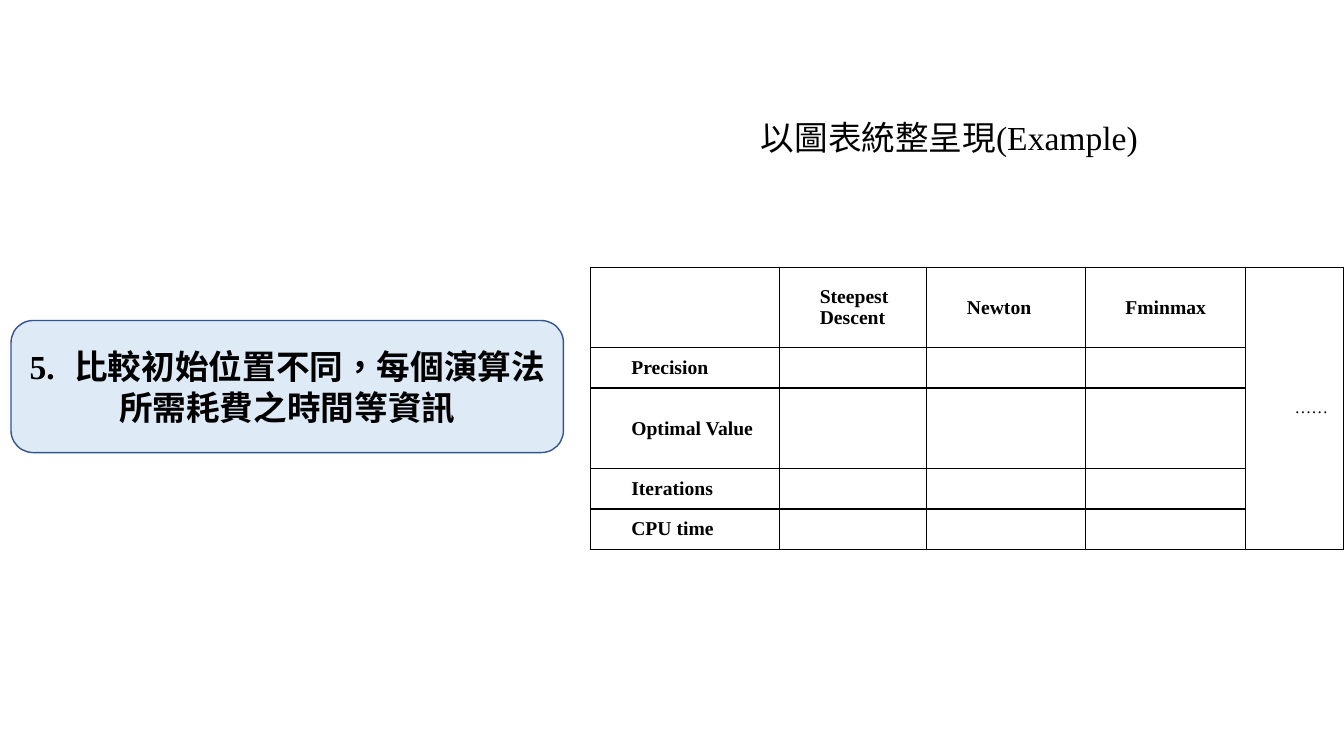
from dataclasses import dataclass

from lxml.etree import SubElement
from pptx import Presentation
from pptx.dml.color import RGBColor
from pptx.enum.lang import MSO_LANGUAGE_ID as Language
from pptx.enum.shapes import MSO_SHAPE as Shape
from pptx.enum.text import MSO_ANCHOR as Anchor, MSO_AUTO_SIZE as AutoSize, PP_ALIGN as Align
from pptx.oxml.ns import qn
from pptx.util import Inches, Pt


@dataclass(frozen=True)
class Theme:
    font: str = "Times New Roman"
    ink: str = "000000"
    panel: str = "DEEBF7"
    panel_line: str = "325491"
    heading: int = 24
    label: int = 14
    dots: int = 12
    line: int = 1


def apply(target, **values):
    for name, value in values.items():
        setattr(target, name, value)


class SlideBuilder:
    """Places elements on a grid of 40 columns by 30 rows."""

    def __init__(self, presentation, theme):
        self.theme = theme
        self.column = presentation.slide_width / 40
        self.row = presentation.slide_height / 30
        self.slide = presentation.slides.add_slide(presentation.slide_layouts[5])

    def box(self, left, top, width, height):
        return (round(left * self.column), round(top * self.row),
                round(width * self.column), round(height * self.row))

    def add_text(self, paragraph, text, size, bold=False, spacing=0):
        run = paragraph.add_run()
        run.text = text
        apply(run.font, name=self.theme.font, size=Pt(size), bold=bold,
              language_id=Language.TRADITIONAL_CHINESE)
        run.font.color.rgb = RGBColor.from_string(self.theme.ink)
        if spacing:
            run.font._element.set("spc", str(spacing * 100))

    def title(self, text, *place):
        shape = self.slide.shapes.title
        left, top, width, height = self.box(*place)
        apply(shape, left=left, top=top, width=width, height=height)
        apply(shape.text_frame, word_wrap=True, auto_size=AutoSize.NONE,
              vertical_anchor=Anchor.MIDDLE)
        paragraph = shape.text_frame.paragraphs[0]
        paragraph.alignment = Align.CENTER
        self.add_text(paragraph, text, self.theme.heading)

    def panel(self, number, text, *place):
        shape = self.slide.shapes.add_shape(Shape.ROUNDED_RECTANGLE, *self.box(*place))
        shape.shadow.inherit = False
        shape.fill.solid()
        shape.fill.fore_color.rgb = RGBColor.from_string(self.theme.panel)
        shape.line.color.rgb = RGBColor.from_string(self.theme.panel_line)
        shape.line.width = Pt(self.theme.line)
        apply(shape.text_frame, word_wrap=True, vertical_anchor=Anchor.MIDDLE)
        paragraph = shape.text_frame.paragraphs[0]
        paragraph.alignment = Align.CENTER
        for part, spacing in ((number, 0), (" ", 8), (text, 0)):
            self.add_text(paragraph, part, self.theme.heading, bold=True, spacing=spacing)

    def table(self, left, top, widths, heights):
        place = self.box(left, top, sum(widths), sum(heights))
        frame = self.slide.shapes.add_table(len(heights), len(widths), *place)
        table = frame.table
        apply(table, first_row=False, horz_banding=False)
        for column, width in zip(table.columns, widths):
            column.width = round(width * self.column)
        for row, height in zip(table.rows, heights):
            row.height = round(height * self.row)
        for cell in table.iter_cells():
            apply(cell, margin_left=Inches(0.07), margin_right=Inches(0.07),
                  margin_top=0, margin_bottom=0, vertical_anchor=Anchor.MIDDLE)
            self.borders(cell)
            cell.fill.background()
        return table

    def borders(self, cell):
        properties = cell._tc.get_or_add_tcPr()
        for side in ("a:lnL", "a:lnR", "a:lnT", "a:lnB"):
            line = SubElement(properties, qn(side), w=str(Pt(self.theme.line)))
            fill = SubElement(line, qn("a:solidFill"))
            SubElement(fill, qn("a:srgbClr"), val=self.theme.ink)

    def cell_text(self, cell, text, size, bold=True, align=Align.LEFT, indent=1):
        paragraph = cell.text_frame.paragraphs[0]
        paragraph.alignment = align
        paragraph._p.get_or_add_pPr().set("marL", str(round(indent * self.column)))
        self.add_text(paragraph, text, size, bold)


def main():
    presentation = Presentation()
    apply(presentation, slide_width=Inches(13.33), slide_height=Inches(7.5))
    theme = Theme()
    builder = SlideBuilder(presentation, theme)

    # Task panel and heading
    builder.panel("5.", "比較初始位置不同，每個演算法所需耗費之時間等資訊",
                  0.33, 12.72, 16.44, 5.24)
    builder.title("以圖表統整呈現(Example)", 21.04, 4.44, 14.43, 2)

    # Comparison table
    table = builder.table(17.58, 10.6, widths=(5.61, 4.38, 4.74, 4.77, 2.91),
                          heights=(3.2, 1.6, 3.2, 1.6, 1.6))
    for index, method in enumerate(("Steepest Descent", "Newton"), start=1):
        builder.cell_text(table.cell(0, index), method, theme.label)
    builder.cell_text(table.cell(0, 3), "Fminmax", theme.label,
                      align=Align.CENTER, indent=0)
    measures = ("Precision", "Optimal Value", "Iterations", "CPU time")
    for index, measure in enumerate(measures, start=1):
        builder.cell_text(table.cell(index, 0), measure, theme.label)

    # Further methods, spanning all rows
    table.cell(0, 4).merge(table.cell(4, 4))
    builder.cell_text(table.cell(0, 4), "……", theme.dots, bold=False, align=Align.CENTER)

    presentation.save("out.pptx")


if __name__ == "__main__":
    main()
